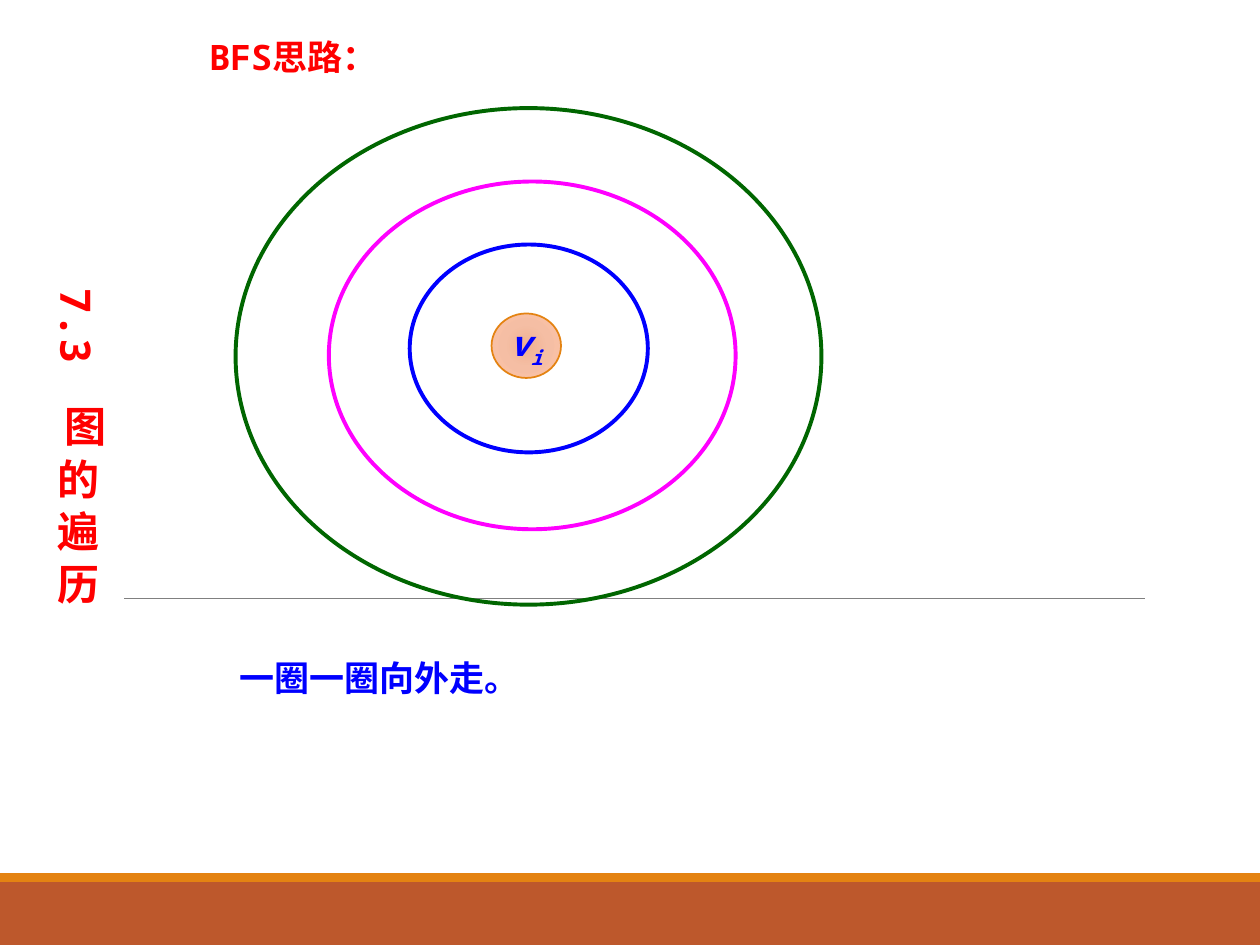
from lxml import etree
from pptx import Presentation
from pptx.dml.color import RGBColor
from pptx.enum.shapes import MSO_CONNECTOR, MSO_SHAPE
from pptx.enum.text import MSO_ANCHOR, MSO_AUTO_SIZE, PP_ALIGN
from pptx.oxml import parse_xml
from pptx.oxml.ns import nsdecls, qn
from pptx.util import Cm, Pt

RECT, OVAL = MSO_SHAPE.RECTANGLE, MSO_SHAPE.OVAL
LEFT, MID = PP_ALIGN.LEFT, PP_ALIGN.CENTER
TOP, CENTER = MSO_ANCHOR.TOP, MSO_ANCHOR.MIDDLE
FONT = "Noto Sans Mono"
RED, BLUE, ORANGE = "FF0000", "0000FF", "E48312"


def rgb(code):
    return RGBColor.from_string(code)


def write(shape, parts, size, color, align, anchor=TOP):
    frame = shape.text_frame
    frame.text = parts[0]
    frame.word_wrap = True
    frame.auto_size = MSO_AUTO_SIZE.NONE
    frame.vertical_anchor = anchor
    para = frame.paragraphs[0]
    para.alignment = align
    for part in parts[1:]:
        para.add_run().text = part
    for run in para.runs:
        run.font.name = FONT
        run.font.size = Pt(size)
        run.font.bold = True
        run.font.color.rgb = rgb(color)
        east = etree.Element(qn("a:ea"), typeface=FONT)
        run._r.rPr.find(qn("a:latin")).addnext(east)
    return frame


deck = Presentation()
deck.slide_width, deck.slide_height = Cm(25.4), Cm(19.05)
slide = deck.slides.add_slide(deck.slide_layouts[5])
shapes = slide.shapes

for top, high, color in [(17.78, 1.27, "BD582C"), (17.6, 0.18, ORANGE)]:
    bar = shapes.add_shape(RECT, 0, Cm(top), Cm(25.4), Cm(high))
    bar.shadow.inherit = False
    bar.fill.solid()
    bar.fill.fore_color.rgb = rgb(color)
    bar.line.fill.background()

rule = shapes.add_connector(
    MSO_CONNECTOR.STRAIGHT, Cm(2.51), Cm(12.07), Cm(23.09), Cm(12.07))
rule.line.color.rgb = rgb("808080")
rule.line.width = Pt(0.5)
etree.SubElement(rule._element.spPr, qn("a:effectLst"))

rings = [
    (6.63, 3.66, 8.2, 7.01, "FF00FF"),
    (4.75, 2.18, 11.81, 10.01, "006600"),
    (8.26, 4.93, 4.8, 4.19, BLUE),
]
for left, top, wide, high, color in rings:
    ring = shapes.add_shape(OVAL, Cm(left), Cm(top), Cm(wide), Cm(high))
    ring.shadow.inherit = False
    ring.fill.background()
    ring.line.color.rgb = rgb(color)
    ring.line.width = Pt(2.25)

title = shapes.title
title.left, title.top = Cm(3.96), Cm(0.58)
title.width, title.height = Cm(13.41), Cm(1.12)
write(title, ["BFS思路："], 20, RED, LEFT)

node = shapes.add_shape(OVAL, Cm(9.91), Cm(6.32), Cm(1.4), Cm(1.3))
node.shadow.inherit = False
node.line.color.rgb = rgb(ORANGE)
node.line.width = Pt(1)
stops = "".join(
    f'<a:gs pos="{pos * 1000}"><a:srgbClr val="{color}"/></a:gs>'
    for pos, color in [(0, "F0B191"), (45, "F5BEA4"), (100, "FDC3A8")])
blend = parse_xml(
    f'<a:gradFill {nsdecls("a")}><a:gsLst>{stops}</a:gsLst>'
    '<a:path path="circle"><a:fillToRect l="100000" t="100000" '
    'r="100000" b="100000"/></a:path></a:gradFill>')
node._element.spPr.insert(2, blend)
frame = write(node, ["v", "i"], 20, BLUE, MID, CENTER)
frame.word_wrap = False
name, sub = frame.paragraphs[0].runs
name.font.italic = sub.font.italic = True
sub._r.rPr.set("baseline", "-25000")

note = shapes.add_textbox(Cm(4.57), Cm(13.11), Cm(10.41), Cm(1.12))
write(note, ["一圈一圈向外走。"], 20, BLUE, LEFT)

side = shapes.add_textbox(Cm(0.64), Cm(5.56), Cm(1.55), Cm(7.54))
words = ["7.3　图", " ", "的", " ", "遍", " ", "历"]
frame = write(side, words, 24, RED, MID)
frame._txBody.bodyPr.set("vert", "eaVert")
for gap in frame.paragraphs[0].runs[1::2]:
    gap.font.size = Pt(10)

deck.save("out.pptx")
